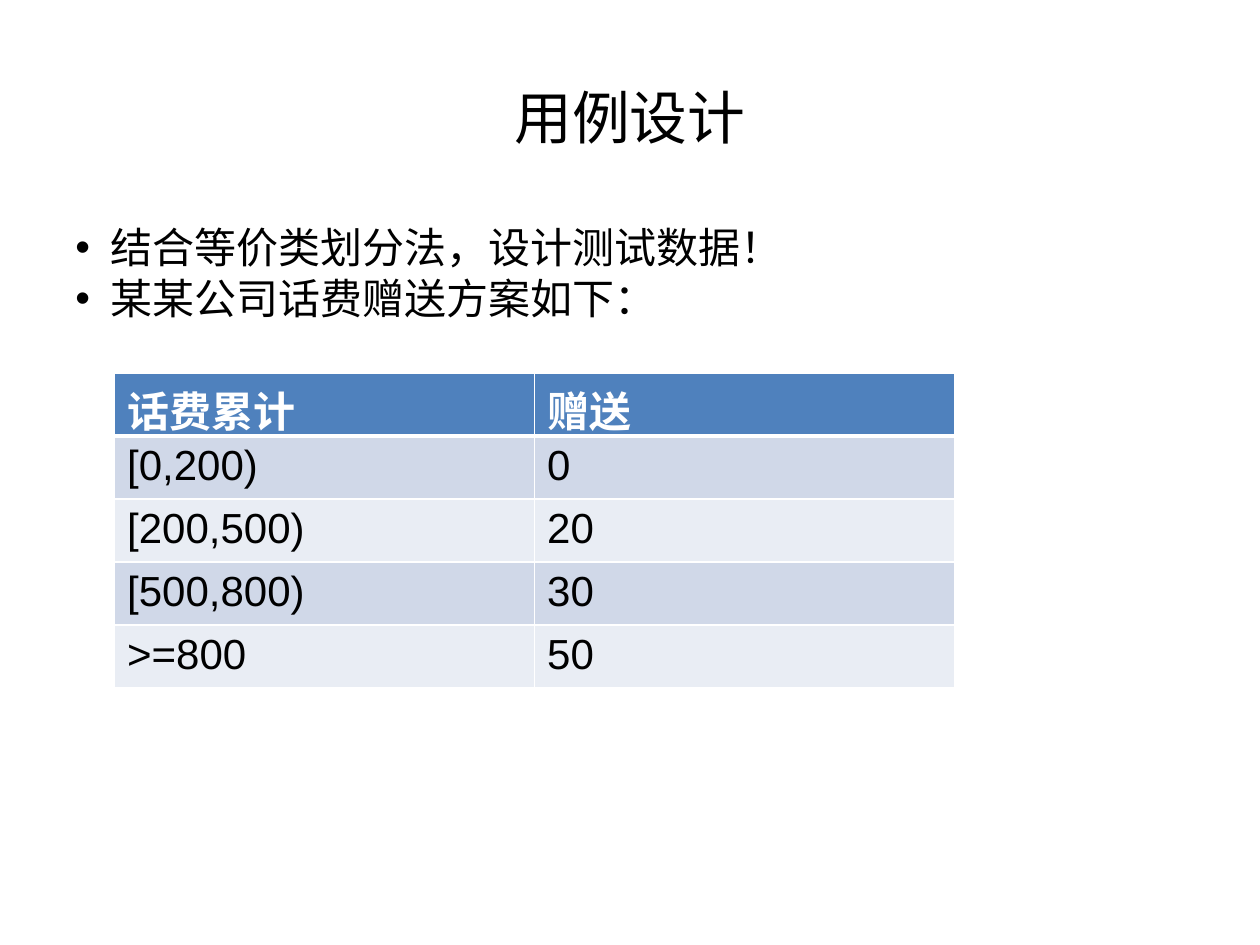
from lxml.etree import SubElement
from pptx import Presentation
from pptx.dml.color import RGBColor
from pptx.enum.text import MSO_ANCHOR, PP_ALIGN
from pptx.oxml.ns import qn
from pptx.util import Inches, Pt

WIDTH, HEIGHT = 10, 7.5


def color(value):
    return RGBColor.from_string(value)


class SlideBuilder:
    ink, paper, accent = "000000", "FFFFFF", "4F81BD"
    bands = ("D0D8E8", "E9EDF4")
    title_font, body_font = "Montserrat", "Arial"
    title_size, body_size = 33, 24
    indent = Inches(0.28)

    def __init__(self, deck):
        self.page = deck.slides.add_slide(deck.slide_layouts[6])
        self.page.background.fill.solid()
        self.page.background.fill.fore_color.rgb = color(self.paper)

    def area(self, left, top, width, height):
        return (Inches(left * WIDTH), Inches(top * HEIGHT),
                Inches(width * WIDTH), Inches(height * HEIGHT))

    def style(self, paragraph, name, size, ink, bold=False):
        font = paragraph.font
        font.name, font.size, font.bold = name, Pt(size), bold
        font.color.rgb = color(ink)

    def text_frame(self, place):
        frame = self.page.shapes.add_textbox(*self.area(*place)).text_frame
        frame.word_wrap = True
        return frame

    def title(self, text, place):
        frame = self.text_frame(place)
        frame.vertical_anchor = MSO_ANCHOR.MIDDLE
        frame.text = text
        para = frame.paragraphs[0]
        para.alignment = PP_ALIGN.CENTER
        self.style(para, self.title_font, self.title_size, self.ink)

    def bullets(self, lines, place):
        frame = self.text_frame(place)
        frame.text = "\n".join(lines)
        for para in frame.paragraphs:
            para.line_spacing = 0.9
            para.space_before = Pt(3.4)
            properties = para._p.get_or_add_pPr()
            properties.set("marL", str(self.indent))
            properties.set("indent", str(-self.indent))
            SubElement(properties, qn("a:buFont"), typeface=self.body_font)
            SubElement(properties, qn("a:buChar"), char="•")
            self.style(para, self.body_font, self.body_size, self.ink)

    def borders(self, cell, bottom):
        properties = cell._tc.get_or_add_tcPr()
        widths = {"lnL": 1, "lnR": 1, "lnT": 1, "lnB": bottom}
        for index, (side, width) in enumerate(widths.items()):
            line = SubElement(properties, qn(f"a:{side}"), w=str(Pt(width)))
            fill = SubElement(line, qn("a:solidFill"))
            SubElement(fill, qn("a:srgbClr"), val=self.paper)
            properties.insert(index, line)

    def table(self, rows, place, row_height):
        table = self.page.shapes.add_table(
            len(rows), len(rows[0]), *self.area(*place)).table
        for row_index, values in enumerate(rows):
            header = row_index == 0
            table.rows[row_index].height = Inches(row_height * HEIGHT)
            for column_index, value in enumerate(values):
                cell = table.cell(row_index, column_index)
                cell.text = value
                cell.fill.solid()
                cell.fill.fore_color.rgb = color(
                    self.accent if header else self.bands[(row_index - 1) % 2])
                self.borders(cell, 3 if header else 1)
                self.style(cell.text_frame.paragraphs[0], self.body_font,
                           self.body_size, self.paper if header else self.ink, header)


def main():
    deck = Presentation()
    deck.slide_width, deck.slide_height = Inches(WIDTH), Inches(HEIGHT)
    slide = SlideBuilder(deck)
    slide.title("用例设计", (0.05, 0.04, 0.9, 1 / 6))
    slide.bullets(["结合等价类划分法，设计测试数据！", "某某公司话费赠送方案如下："],
                  (0.05, 0.7 / 3, 0.9, 0.66))
    rows = [
        ("话费累计", "赠送"),
        ("[0,200)", "0"),
        ("[200,500)", "20"),
        ("[500,800)", "30"),
        (">=800", "50"),
    ]
    slide.table(rows, (0.091, 2.96 / HEIGHT, 2 / 3, 1 / 3), 0.41 / HEIGHT)
    deck.save("out.pptx")


if __name__ == "__main__":
    main()
